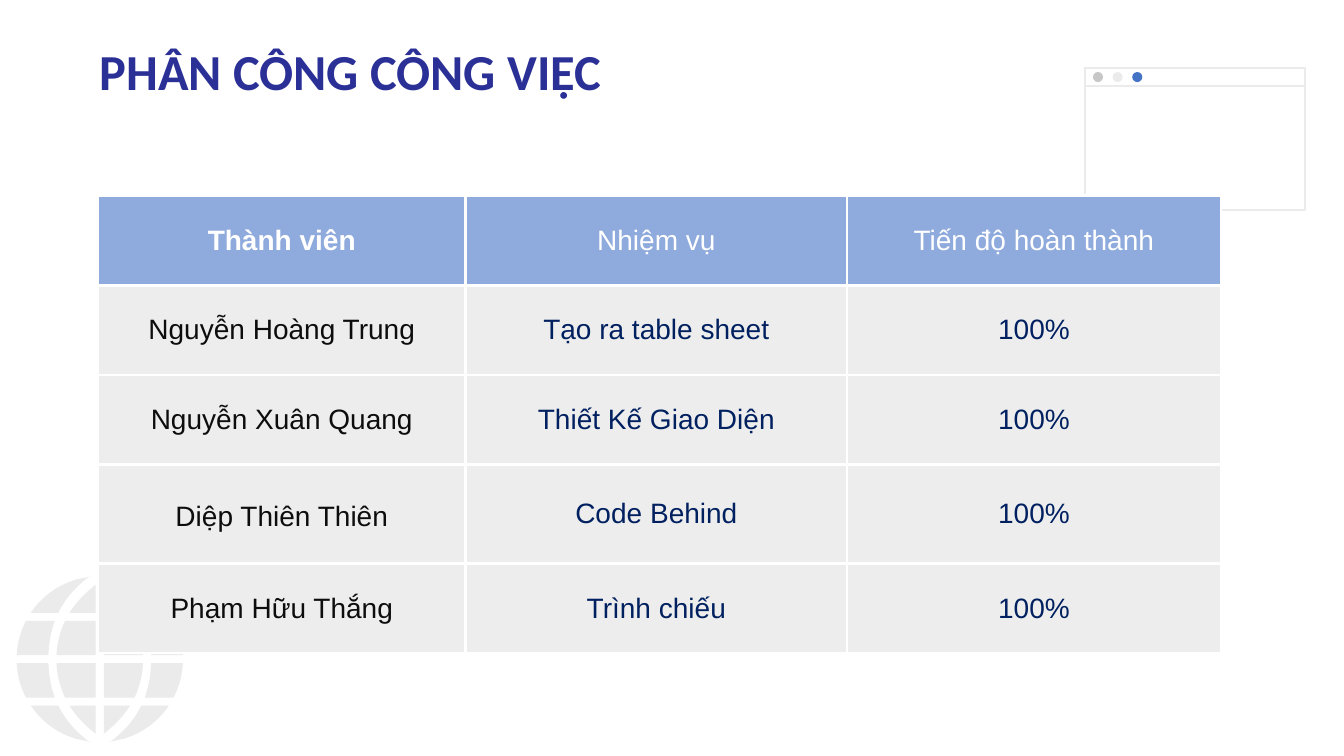
from math import sqrt

from lxml.etree import SubElement
from pptx import Presentation
from pptx.dml.color import RGBColor
from pptx.enum.shapes import MSO_SHAPE
from pptx.enum.text import MSO_ANCHOR, PP_ALIGN
from pptx.oxml.ns import qn
from pptx.util import Inches, Pt

GREY, MID_GREY, BLUE = "EBEBEB", "C7C7C7", "4472C4"
WHITE, TITLE, NAVY, BLACK = "FFFFFF", "2B3097", "002060", "0D0D0D"
HEADER, CELL = "8FAADC", "EDEDED"


def color(value):
    return RGBColor.from_string(value)


def write(tf, text, size=20, font="Arial", fill=BLACK, bold=False,
          align=PP_ALIGN.CENTER, spacing=None):
    p = tf.paragraphs[0]
    p.alignment = align
    if spacing:
        p.line_spacing = spacing
    r = p.add_run()
    r.text = text
    r.font.size, r.font.name, r.font.bold = Pt(size), font, bold
    r.font.color.rgb = color(fill)


class SlideBuilder:
    def __init__(self, s, border=WHITE, border_width=2.25):
        self.s = s
        self.border = border
        self.border_width = border_width

    def paint(self, sp, fill=None, line=None):
        sp.shadow.inherit = False
        if fill:
            sp.fill.solid()
            sp.fill.fore_color.rgb = color(fill)
        else:
            sp.fill.background()
        if line:
            sp.line.color.rgb = color(line)
            sp.line.width = Pt(1.44)
        else:
            sp.line.fill.background()

    def shape(self, kind, x, y, w, h, **style):
        sp = self.s.shapes.add_shape(kind, Inches(x), Inches(y), Inches(w), Inches(h))
        self.paint(sp, **style)

    def polygon(self, points, **style):
        points = [(Inches(x), Inches(y)) for x, y in points]
        builder = self.s.shapes.build_freeform(*points[0])
        builder.add_line_segments(points[1:], close=True)
        self.paint(builder.convert_to_shape(), **style)

    def text(self, x, y, w, h, text, **style):
        tf = self.s.shapes.add_textbox(Inches(x), Inches(y), Inches(w), Inches(h)).text_frame
        tf.word_wrap = True
        tf.vertical_anchor = MSO_ANCHOR.MIDDLE
        write(tf, text, **style)

    def cell_borders(self, cell):
        tcPr = cell._tc.get_or_add_tcPr()
        for i, side in enumerate(("a:lnL", "a:lnR", "a:lnT", "a:lnB")):
            ln = tcPr.makeelement(qn(side), {"w": str(Pt(self.border_width))})
            tcPr.insert(i, ln)
            fill = SubElement(ln, qn("a:solidFill"))
            SubElement(fill, qn("a:srgbClr"), val=self.border)

    def table(self, x, y, widths, heights, rows):
        table = self.s.shapes.add_table(
            len(rows), len(widths), Inches(x), Inches(y),
            Inches(sum(widths)), Inches(sum(heights))).table
        table.horz_banding = False
        for column, width in zip(table.columns, widths):
            column.width = Inches(width)
        for row, height in zip(table.rows, heights):
            row.height = Inches(height)
        for i, row in enumerate(rows):
            for j, text in enumerate(row):
                cell = table.cell(i, j)
                cell.vertical_anchor = MSO_ANCHOR.MIDDLE
                cell.fill.solid()
                cell.fill.fore_color.rgb = color(CELL if i else HEADER)
                self.cell_borders(cell)
                body = NAVY if j else BLACK
                write(cell.text_frame, text, fill=body if i else WHITE,
                      bold=i == 0 and j == 0)
        return table


# Globe: half widths of its curves at height y from the equator
RADIUS = 0.825


def rim(y):
    return sqrt(max(RADIUS ** 2 - y ** 2, 0))


def meridian_outer(y):
    return 0.51 - 0.4 * y ** 2 - 0.3 * y ** 4


def meridian_inner(y):
    return 0.43 - 0.55 * y ** 2 - 0.3 * y ** 4


def axis(y):
    return 0.04


def draw_globe(slide, cx=0.99, cy=6.54, steps=12):
    columns = [(meridian_outer, rim, 0.82), (axis, meridian_inner, 0.74)]
    for near, far, pole in columns:
        for low, high in ((0.04, 0.38), (0.46, pole)):
            ys = [low + (high - low) * i / steps for i in range(steps + 1)]
            edge = [(near(y), y) for y in ys] + [(far(y), y) for y in reversed(ys)]
            for sx in (-1, 1):
                for sy in (-1, 1):
                    slide.polygon([(cx + sx * x, cy + sy * y) for x, y in edge], fill=GREY)


def main():
    prs = Presentation()
    prs.slide_width, prs.slide_height = Inches(13.33), Inches(7.5)
    slide = SlideBuilder(prs.slides.add_slide(prs.slide_layouts[6]))

    # Background decoration
    draw_globe(slide)
    for height in (1.41, 0.18):
        slide.shape(MSO_SHAPE.RECTANGLE, 10.76, 0.67, 2.18, height, line=GREY)
    for i, dot in enumerate((MID_GREY, GREY, BLUE)):
        slide.shape(MSO_SHAPE.OVAL, 10.84 + 0.195 * i, 0.715, 0.1, 0.1, fill=dot)

    # Title
    slide.text(0.89, 0.18, 6.59, 1.11, "PHÂN CÔNG CÔNG VIỆC", size=36, font="Calibri",
               fill=TITLE, bold=True, align=PP_ALIGN.LEFT, spacing=0.9)

    # Task table
    table = slide.table(0.97, 1.94, (3.65, 3.78, 3.71), (0.89, 0.89, 0.89, 0.98, 0.89), [
        ("Thành viên", "Nhiệm vụ", "Tiến độ hoàn thành"),
        ("Nguyễn Hoàng Trung", "Tạo ra table sheet", "100%"),
        ("Nguyễn Xuân Quang", "Thiết Kế Giao Diện", "100%"),
        ("Diệp Thiên Thiên", "Code Behind", "100%"),
        ("Phạm Hữu Thắng", "Trình chiếu", "100%"),
    ])
    table.cell(3, 0).margin_top = Inches(0.11)

    prs.save("out.pptx")


if __name__ == "__main__":
    main()
